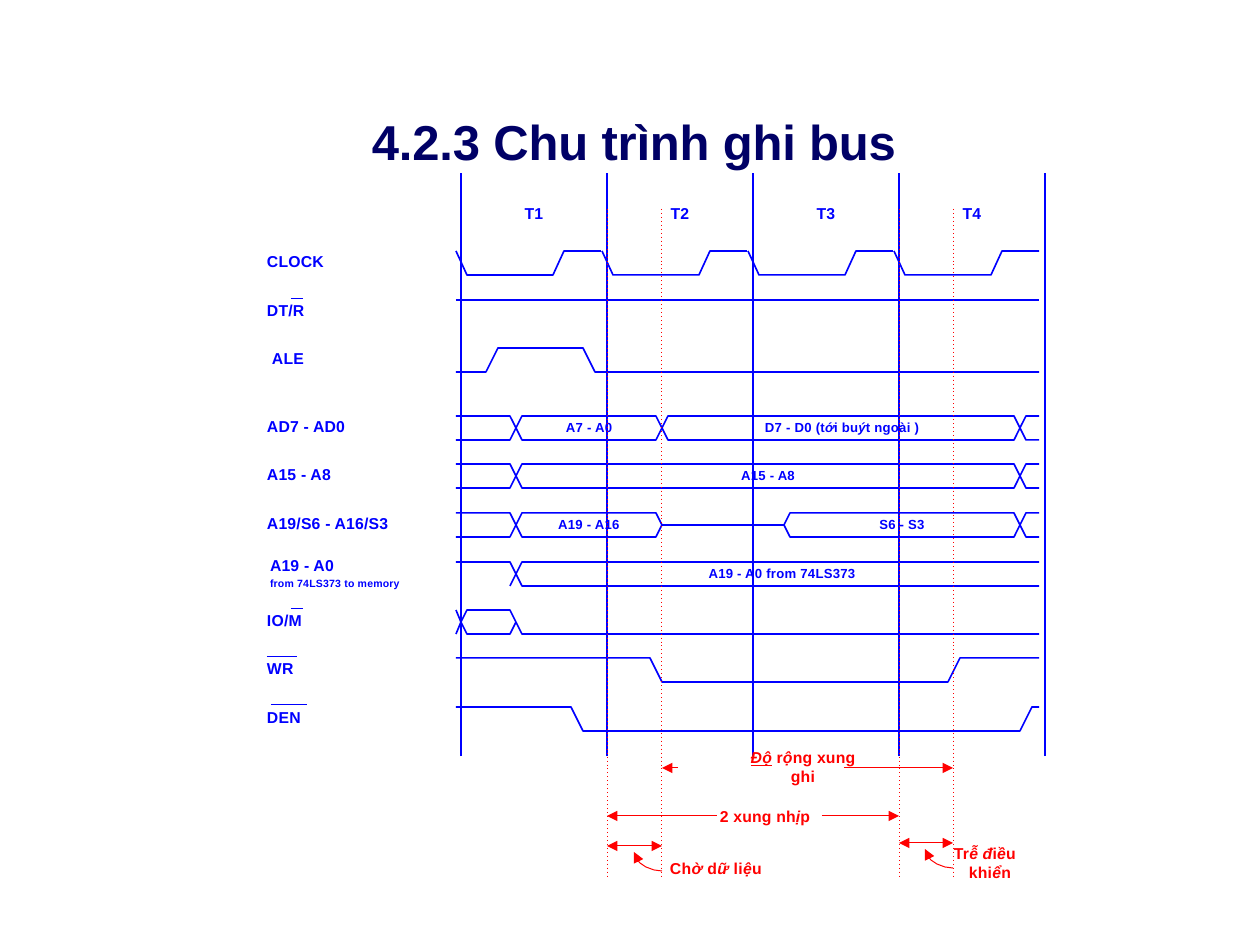
from lxml.etree import SubElement
from pptx import Presentation
from pptx.dml.color import RGBColor
from pptx.enum.shapes import MSO_CONNECTOR
from pptx.enum.text import MSO_ANCHOR, PP_ALIGN
from pptx.oxml.ns import qn
from pptx.util import Pt

SCALE = 914400 / 126
INK = {"title": "000066", "wave": "0000FF", "bar": "0000FE", "time": "FF0000"}
STEP, HIGH, SLANT = 146, 24, 6
LEFT, RIGHT = 0, 583
CLOCK, DTR, ALE = [78 + round(48.6 * n) for n in range(3)]
AD, MID, TOP, MEM, IO, WR, DEN = [243 + round(48.5 * n) for n in range(7)]


def px(n):
    return round(n * SCALE)


def tint(name):
    return RGBColor.from_string(INK[name])


def note(shapes, text, box, size, ink, align=PP_ALIGN.CENTER, gap=10):
    frame = shapes.add_textbox(*map(px, box)).text_frame
    frame.word_wrap = False
    frame.vertical_anchor = MSO_ANCHOR.MIDDLE
    frame.margin_left = frame.margin_right = 0
    frame.margin_top = frame.margin_bottom = 0
    for i, row in enumerate(text.split("\n")):
        para = frame.add_paragraph() if i else frame.paragraphs[0]
        para.alignment = align
        for j, part in enumerate(row.split("*")):
            if not part:
                continue
            run = para.add_run()
            run.text = part
            font = run.font
            font.name, font.size, font.bold = "Arial", Pt(size), True
            font.italic = j % 2 == 1
            font.color.rgb = tint(ink)
            run._r.get_or_add_rPr().set("spc", str(gap))
    return frame


def style(item, ink, width, heads=(), dots=False):
    line = item.line
    line.color.rgb = tint(ink)
    line.width = Pt(width)
    node = line._get_or_add_ln()
    if dots:
        SubElement(node, qn("a:prstDash"), val="dot")
    for end in heads:
        SubElement(node, qn("a:" + end), type="triangle", w="med", len="med")


def rule(shapes, start, end, ink, width, heads=()):
    line = shapes.add_connector(MSO_CONNECTOR.STRAIGHT, *map(px, start + end))
    style(line, ink, width, heads)
    SubElement(line._element.spPr, qn("a:effectLst"))


def trace(shapes, paths, x, y, ink, width, heads=(), dots=False):
    pen = None
    for path in paths:
        first, *rest = [(x + a, y + b) for a, b in path]
        if pen is None:
            pen = shapes.build_freeform(*first, scale=SCALE)
        else:
            pen.move_to(*first)
        pen.add_line_segments(rest, close=False)
    shape = pen.convert_to_shape()
    shape.fill.background()
    shape.shadow.inherit = False
    style(shape, ink, width, heads, dots)


def drop(row, paths):
    return [[(a, b + row) for a, b in path] for path in paths]


def span(a, b):
    half = HIGH // 2
    paths = []
    for rail in (0, HIGH):
        head = [(a, rail)] if a == LEFT else [(a, half), (a + SLANT, rail)]
        tail = [(b, rail)] if b == RIGHT else [(b - SLANT, rail), (b, half)]
        paths.append(head + tail)
    return paths


def names(shapes, x, y):
    labels = [
        ("CLOCK", 0, CLOCK), ("DT/R", 0, DTR), ("ALE", 5, ALE),
        ("AD7 - AD0", 0, AD), ("A15 - A8", 0, MID), ("A19/S6 - A16/S3", 0, TOP),
        ("A19 - A0", 3, MEM - 7), ("IO/M", 0, IO), ("WR", 0, WR), ("DEN", 0, DEN),
    ]
    for text, dx, row in labels:
        note(shapes, text, (x + dx, y + row - 1, 130, 22), 9, "wave", PP_ALIGN.LEFT)
    note(shapes, "from 74LS373 to memory", (x + 3, y + MEM + 13, 132, 16), 6, "wave", PP_ALIGN.LEFT)
    for a, b, row in [(24, 36, DTR), (24, 36, IO), (0, 30, WR), (4, 40, DEN)]:
        rule(shapes, (x + a, y + row - 2), (x + b, y + row - 2), "bar", 0.55)


def waves(shapes, x, y):
    for i in range(4):
        note(shapes, f"T{i + 1}", (x + 66 + i * STEP, y + 29, 24, 22), 9, "wave")
    half = HIGH // 2
    grid = [[(5 + i * STEP, 583), (5 + i * STEP, 0)] for i in range(5)]
    beat = [(0, 0), (11, HIGH), (97, HIGH), (108, 0), (145, 0)]
    clock = [[(a + i * STEP, b) for a, b in beat] for i in range(4)]
    pulse = [(LEFT, HIGH), (30, HIGH), (42, 0), (127, 0), (139, HIGH), (RIGHT, HIGH)]
    write = [(LEFT, 0), (194, 0), (206, HIGH), (492, HIGH), (504, 0), (RIGHT, 0)]
    enable = [(LEFT, 0), (115, 0), (127, HIGH), (564, HIGH), (576, 0), (RIGHT, 0)]
    inout = [[(LEFT, 0), (5, half), (LEFT, HIGH)], [(60, half), (66, HIGH), (RIGHT, HIGH)]]
    sheets = [
        grid + drop(CLOCK, clock[:1]),
        drop(CLOCK, clock[1:]) + drop(DTR, [[(LEFT, 0), (RIGHT, 0)]]) + drop(ALE, [pulse])
        + drop(MID, span(LEFT, 60) + span(60, 564) + span(564, RIGHT)),
        drop(TOP, span(LEFT, 60) + span(60, 206) + [[(206, half), (328, half)]]
             + span(328, 564) + span(564, RIGHT)),
        drop(MEM, [[(LEFT, 0), (54, 0), (60, half), (54, HIGH)]] + span(60, RIGHT)),
        drop(IO, span(5, 60) + inout)
        + drop(AD, span(LEFT, 60) + span(60, 206) + span(206, 564)),
        drop(AD, span(564, RIGHT)) + drop(WR, [write]) + drop(DEN, [enable]),
    ]
    for paths in sheets:
        trace(shapes, paths, x, y, "wave", 0.93)
    cells = [
        ("A7 - A0", 133, 50, AD), ("D7 - D0 (t*ớ*i bu*ý*t ngoài )", 386, 156, AD),
        ("A15 - A8", 312, 58, MID), ("A19 - A16", 133, 66, TOP), ("S6 - S3", 446, 50, TOP),
        ("A19 - A0 from 74LS373", 326, 150, MEM),
    ]
    for text, mid, wide, row in cells:
        note(shapes, text, (x + mid - wide / 2, y + row + 1, wide, 20), 7.5, "wave")


def times(shapes, x, y):
    for pair in [(206, 497), (151, 443)]:
        sides = [[(a, 36), (a, 704)] for a in pair]
        trace(shapes, sides, x + 0.5, y, "time", 0.56, dots=True)
    both = ("headEnd", "tailEnd")
    arrows = [
        (222, 206, 595, both[1:]), (388, 497, 595, both[1:]),
        (261, 151, 643, both[1:]), (366, 443, 643, both[1:]),
        (151, 206, 673, both), (443, 497, 670, both),
    ]
    for a, b, row, heads in arrows:
        rule(shapes, (x + a, y + row), (x + b, y + row), "time", 0.56, heads)
    curve = [(28, 19), (20, 18), (12, 15), (6, 11), (2, 6), (0, 0)]
    for dx, dy in [(178, 679), (469, 676)]:
        trace(shapes, [curve], x + dx, y + dy, "time", 0.56, both[1:])
    pulse = note(shapes, "*Độ* r*ộ*ng xung\nghi", (x + 277, y + 574, 140, 40), 9, "time")
    pulse.paragraphs[0].runs[0].font.underline = True
    note(shapes, "2 xung nh*ị*p", (x + 259, y + 632, 100, 22), 9, "time")
    note(shapes, "Ch*ờ *d*ữ *li*ệ*u", (x + 214, y + 684, 96, 22), 9, "time", PP_ALIGN.LEFT, 20)
    delay = note(shapes, "Tr*ễ đ*i*ề*u\nkhi*ể*n", (x + 498, y + 669, 67, 42), 9, "time", PP_ALIGN.LEFT)
    delay.paragraphs[1]._p.get_or_add_pPr().set("marL", str(px(15)))


def main():
    deck = Presentation()
    deck.slide_width, deck.slide_height = px(1260), px(945)
    shapes = deck.slides.add_slide(deck.slide_layouts[6]).shapes
    note(shapes, "4.2.3 Chu trình ghi bus", (368, 110, 532, 62), 28, "title", gap=-8)
    names(shapes, 267, 173)
    waves(shapes, 456, 173)
    times(shapes, 456, 173)
    deck.save("out.pptx")


if __name__ == "__main__":
    main()
